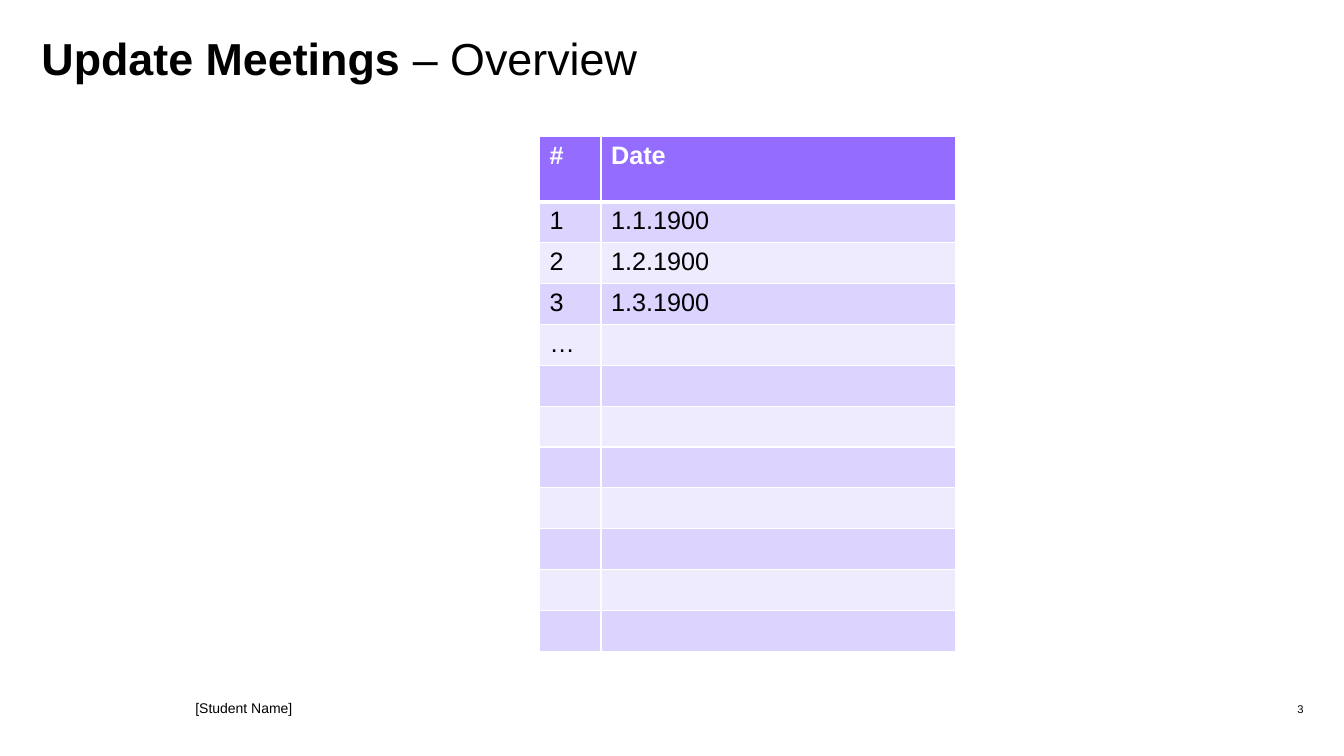
from dataclasses import dataclass

from lxml.etree import SubElement
from pptx import Presentation
from pptx.dml.color import RGBColor
from pptx.enum.text import MSO_ANCHOR as Anchor, PP_ALIGN as Align
from pptx.oxml.ns import qn
from pptx.util import Inches, Pt

WIDTH, HEIGHT = Inches(13.33), Inches(7.5)
BLACK, WHITE = "000000", "FFFFFF"
HEADER_FILL, BAND_FILLS = "946CFF", ("DCD4FF", "EEEBFF")
COLUMN_SHARES = (4.58, 26.41)
HEADER_SHARE, ROW_SHARE = 8.67, 5.4
ROW_COUNT = 12
MEETINGS = (("#", "Date"), ("1", "1.1.1900"), ("2", "1.2.1900"), ("3", "1.3.1900"), ("…", ""))


@dataclass(frozen=True)
class Area:
    left: float
    top: float
    width: float
    height: float

    def lengths(self) -> tuple[int, int, int, int]:
        return across(self.left), down(self.top), across(self.width), down(self.height)


@dataclass(frozen=True)
class FooterItem:
    text: str
    area: Area
    size: int
    align: Align
    inset: float


FOOTER = (
    FooterItem("3", Area(86.5, 92.13, 10.5, 3.2), 8, Align.RIGHT, 0),
    FooterItem("[Student Name]", Area(13.8, 92, 32.26, 3.33), 10, Align.LEFT, 0.1),
)


def across(percent: float) -> int:
    return round(WIDTH * percent / 100)


def down(percent: float) -> int:
    return round(HEIGHT * percent / 100)


def color(value: str) -> RGBColor:
    return RGBColor.from_string(value)


def write(paragraph, text: str, *, size: float, bold: bool = False,
          fill: str = BLACK, align: Align = Align.LEFT) -> None:
    paragraph.alignment = align
    run = paragraph.add_run()
    run.text = text
    run.font.name = "Arial"
    run.font.size = Pt(size)
    run.font.bold = bold
    run.font.color.rgb = color(fill)


def set_insets(frame, inset: float) -> None:
    frame.margin_left = frame.margin_right = Inches(inset)
    frame.margin_top = frame.margin_bottom = Inches(inset / 2)


def add_title(slide) -> None:
    title = slide.shapes.title
    title.left, title.top, title.width, title.height = Area(3.08, 4.93, 93.92, 13.07).lengths()
    frame = title.text_frame
    frame.vertical_anchor = Anchor.TOP
    set_insets(frame, 0)
    paragraph = frame.paragraphs[0]
    paragraph.line_spacing = 0.9
    write(paragraph, "Update Meetings ", size=32, bold=True)
    write(paragraph, "– Overview", size=32)


def set_borders(cell, row: int) -> None:
    properties = cell._tc.get_or_add_tcPr()
    widths = {"L": 1, "R": 1, "T": 3 if row == 1 else 1, "B": 3 if row == 0 else 1}
    for side, width in widths.items():
        line = SubElement(properties, qn(f"a:ln{side}"), w=str(Pt(width)))
        SubElement(SubElement(line, qn("a:solidFill")), qn("a:srgbClr"), val=WHITE)


def add_meeting_table(slide) -> None:
    height = HEADER_SHARE + ROW_SHARE * (ROW_COUNT - 1)
    area = Area(40.14, 18.05, sum(COLUMN_SHARES), height)
    table = slide.shapes.add_table(ROW_COUNT, len(COLUMN_SHARES), *area.lengths()).table
    for column, share in zip(table.columns, COLUMN_SHARES):
        column.width = across(share)
    for index, row in enumerate(table.rows):
        is_header = index == 0
        row.height = down(HEADER_SHARE if is_header else ROW_SHARE)
        texts = MEETINGS[index] if index < len(MEETINGS) else ("", "")
        for cell, text in zip(row.cells, texts):
            set_borders(cell, index)
            cell.fill.solid()
            cell.fill.fore_color.rgb = color(HEADER_FILL if is_header else BAND_FILLS[(index - 1) % 2])
            if text:
                write(cell.text_frame.paragraphs[0], text, size=18,
                      bold=is_header, fill=WHITE if is_header else BLACK)


def add_footer_item(slide, item: FooterItem) -> None:
    frame = slide.shapes.add_textbox(*item.area.lengths()).text_frame
    frame.word_wrap = True
    frame.vertical_anchor = Anchor.MIDDLE
    set_insets(frame, item.inset)
    write(frame.paragraphs[0], item.text, size=item.size, align=item.align)


def main() -> None:
    presentation = Presentation()
    presentation.slide_width, presentation.slide_height = WIDTH, HEIGHT
    slide = presentation.slides.add_slide(presentation.slide_layouts[5])
    add_title(slide)
    add_meeting_table(slide)
    for item in FOOTER:
        add_footer_item(slide, item)
    presentation.save("out.pptx")


if __name__ == "__main__":
    main()
